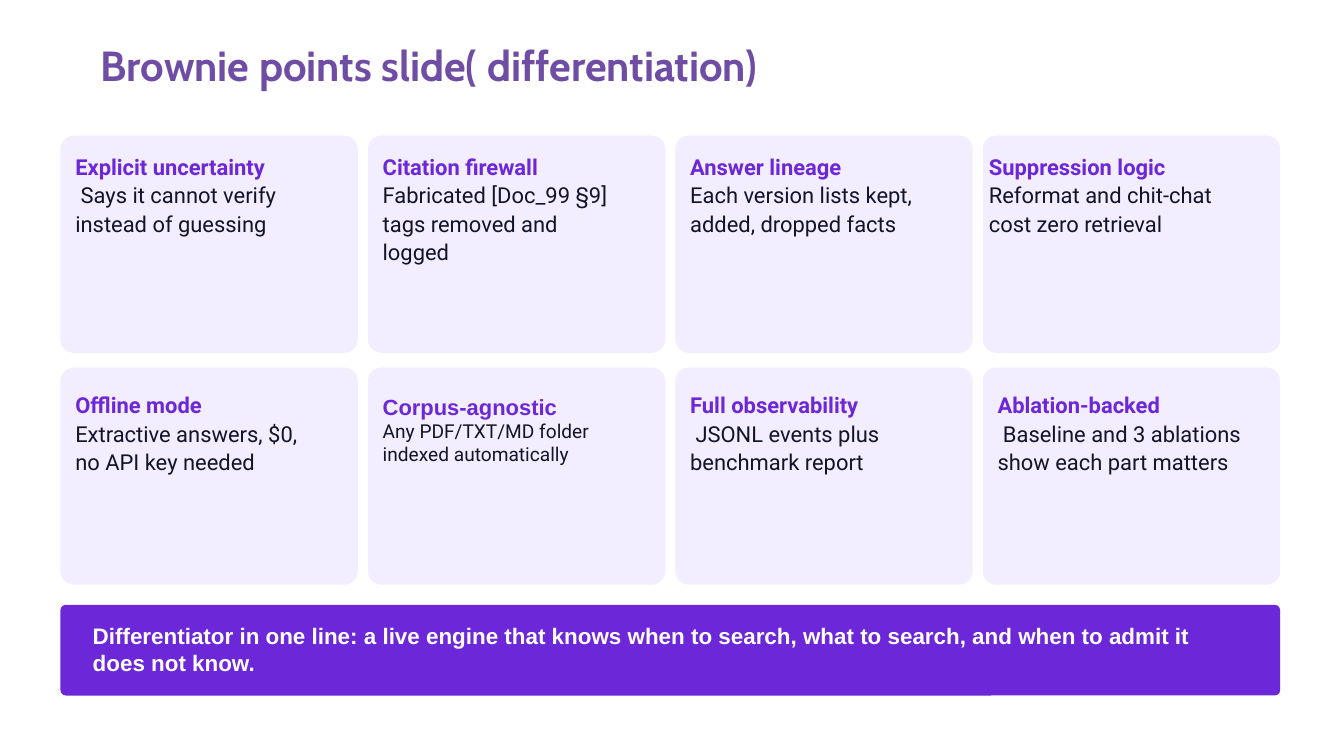
from pptx import Presentation
from pptx.dml.color import RGBColor
from pptx.enum.shapes import MSO_SHAPE
from pptx.enum.text import MSO_ANCHOR, MSO_AUTO_SIZE, PP_ALIGN
from pptx.util import Inches, Pt

ROUNDED = MSO_SHAPE.ROUNDED_RECTANGLE
TOP = MSO_ANCHOR.TOP
NO_FIT = MSO_AUTO_SIZE.NONE
LEFT = PP_ALIGN.LEFT
TITLE_ONLY = 5

COLORS = {
    "title": "6F4DA5",
    "accent": "6C27D8",
    "card": "F2EDFF",
    "body": "13132A",
    "white": "FFFFFF",
}

# Grid in inches: four columns and two rows of cards
WIDTH, HEIGHT = 20, 11.25
MARGIN, GRID_TOP = 0.9, 2.02
COLUMNS, GAP_X, GAP_Y = 4, 0.15, 0.22
CONTENT_WIDTH = 18.15
CARD_WIDTH = (CONTENT_WIDTH - (COLUMNS - 1) * GAP_X) / COLUMNS
CARD_HEIGHT = 3.23
TEXT_TOPS = (0.23, 0.33)

# Text formats: font values plus the exact line spacing in points
TITLE = {"name": "Cabin", "size": 45, "bold": True, "color": "title", "line": 54}
HEADING = {"name": "Roboto", "size": 23.5, "bold": True, "color": "accent", "line": 30.5}
BODY = {"name": "Roboto", "size": 23.5, "bold": False, "color": "body", "line": 30.6}
BANNER = {"name": "Arial", "size": 24, "bold": True, "color": "white", "line": 28.8}

# Each card: heading, body, and what differs from the usual card
CARDS = [
    ("Explicit uncertainty", "Says it cannot verify instead of guessing", {"indent": 0.08}),
    ("Citation firewall", "Fabricated [Doc_99 §9] tags removed and logged", {"width": 3.44}),
    ("Answer lineage", "Each version lists kept, added, dropped facts", {}),
    ("Suppression logic", "Reformat and chit-chat cost zero retrieval", {"inset": 0.09}),
    ("Offline mode", "Extractive answers, $0, no API key needed", {}),
    ("Corpus-agnostic", "Any PDF/TXT/MD folder indexed automatically",
     {"drop": 0.05, "heading": {"name": "Arial", "line": 28.2},
      "body": {"size": 20.5, "line": 24.6}}),
    ("Full observability", "JSONL events plus benchmark report", {"indent": 0.08}),
    ("Ablation-backed", "Baseline and 3 ablations show each part matters", {"indent": 0.08}),
]


def rgb(name):
    return RGBColor.from_string(COLORS[name])


def place(shape, box):
    for side, value in zip(("left", "top", "width", "height"), box):
        setattr(shape, side, Inches(value))


def write(shape, lines):
    """Fill a shape with (text, format, first-line indent) paragraphs."""
    frame = shape.text_frame
    settings = {"word_wrap": True, "auto_size": NO_FIT, "vertical_anchor": TOP,
                "margin_left": 0, "margin_top": 0, "margin_right": 0, "margin_bottom": 0}
    for key, value in settings.items():
        setattr(frame, key, value)
    for index, (text, style, indent) in enumerate(lines):
        para = frame.add_paragraph() if index else frame.paragraphs[0]
        para.alignment = LEFT
        para.line_spacing = Pt(style["line"])
        if indent:
            para._p.get_or_add_pPr().set("indent", str(Inches(indent)))
        span = para.add_run()
        span.text = text
        for key, value in {"name": style["name"], "size": Pt(style["size"]),
                           "bold": style["bold"]}.items():
            setattr(span.font, key, value)
        span.font.color.rgb = rgb(style["color"])


def add_text(page, box, lines):
    text_box = page.shapes.add_textbox(*map(Inches, box))
    write(text_box, lines)


def add_panel(page, box, color, radius):
    panel = page.shapes.add_shape(ROUNDED, *map(Inches, box))
    panel.adjustments[0] = radius / box[3]
    panel.shadow.inherit = False
    panel.fill.solid()
    panel.fill.fore_color.rgb = rgb(color)
    panel.line.fill.background()


def add_title(page, box, text):
    title = page.shapes.title
    place(title, box)
    write(title, [(text, TITLE, 0)])


def add_card(page, box, text_top, heading, body, changes):
    left, top, _, _ = box
    add_panel(page, box, "card", 0.2)
    text_box = (left + changes.get("inset", 0.22),
                top + text_top + changes.get("drop", 0),
                changes.get("width", 3.71), 1.29)
    add_text(page, text_box, [
        (heading, HEADING | changes.get("heading", {}), 0),
        (body, BODY | changes.get("body", {}), changes.get("indent", 0)),
    ])


def add_card_grid(page, left, top):
    for index, (heading, body, changes) in enumerate(CARDS):
        row, column = divmod(index, COLUMNS)
        box = (left + column * (CARD_WIDTH + GAP_X),
               top + row * (CARD_HEIGHT + GAP_Y), CARD_WIDTH, CARD_HEIGHT)
        add_card(page, box, TEXT_TOPS[row], heading, body, changes)


def add_banner(page, box, text):
    left, top, width, height = box
    add_panel(page, box, "accent", 0.08)
    add_text(page, (left + 0.48, top + 0.26, width - 0.98, height - 0.51),
             [(text, BANNER, 0)])


def main():
    deck = Presentation()
    deck.slide_width, deck.slide_height = Inches(WIDTH), Inches(HEIGHT)
    page = deck.slides.add_slide(deck.slide_layouts[TITLE_ONLY])
    add_title(page, (1.5, 0.59, 11.56, 0.88), "Brownie points slide( differentiation)")
    add_card_grid(page, MARGIN, GRID_TOP)
    add_banner(page, (MARGIN, 0.8 * HEIGHT, CONTENT_WIDTH, 0.12 * HEIGHT),
               "Differentiator in one line: a live engine that knows when to search, "
               "what to search, and when to admit it does not know.")
    deck.save("out.pptx")


if __name__ == "__main__":
    main()
